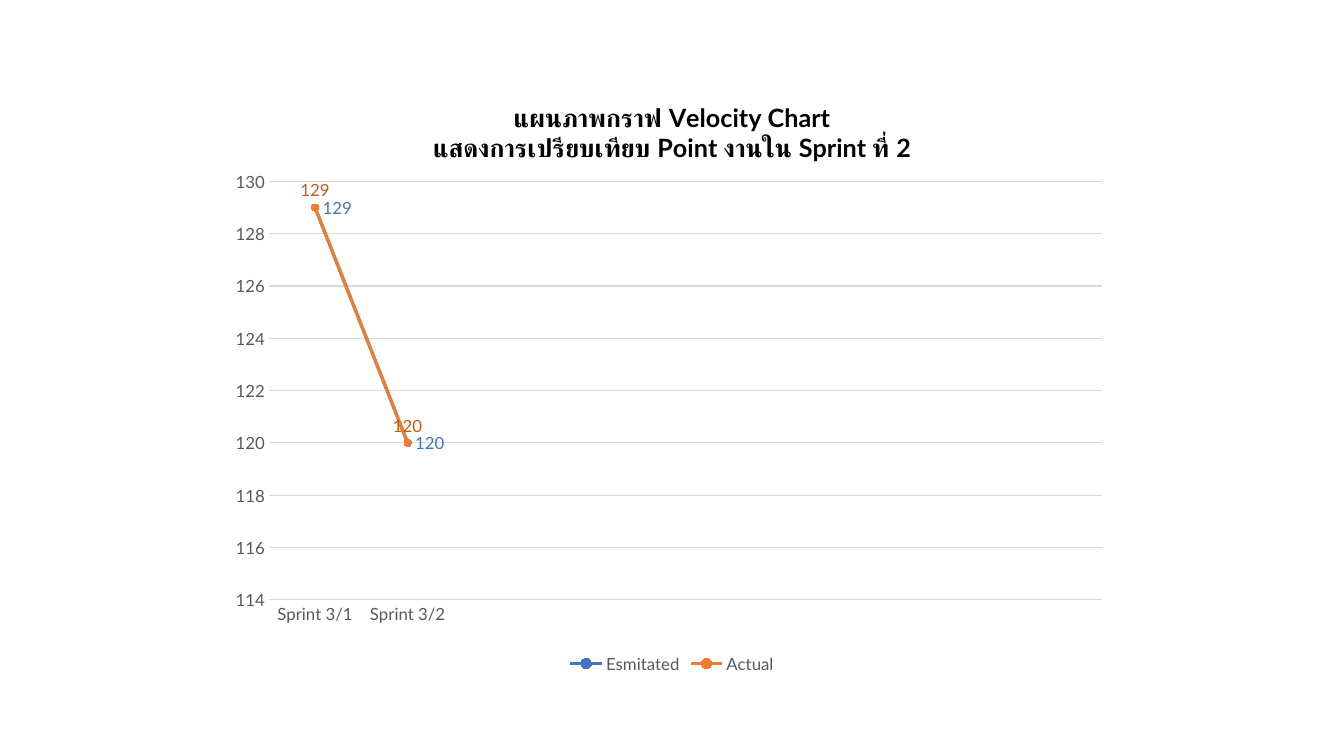
from lxml import etree
from pptx import Presentation
from pptx.chart.data import CategoryChartData
from pptx.dml.color import RGBColor
from pptx.enum import chart as ch
from pptx.oxml import ns
from pptx.util import Pt

HUES = {"ink": "000000", "gray": "595959", "grid": "D9D9D9",
        "blue": "4472C4", "orange": "ED7D31", "rust": "C55A11"}
SLOTS = 9
HEAD = ("แผนภาพกราฟ Velocity Chart",
        "แสดงการเปรียบเทียบ Point งานใน Sprint ที่ 2")
SPRINTS = ["Sprint 3/1", "Sprint 3/2"]
# Name, points, line colour, label colour, label place
SERIES = [
    ("Esmitated", [129, 120], "blue", "blue", ch.XL_LABEL_POSITION.RIGHT),
    ("Actual", [129, 120], "orange", "rust", ch.XL_LABEL_POSITION.ABOVE),
]


def pad(items, fill):
    return items + [fill] * (SLOTS - len(items))


class Deck:
    """Holds the style and the current slide."""

    def __init__(self, face):
        self.face = face
        self.prs = Presentation()
        self.prs.slide_width, self.prs.slide_height = Pt(960), Pt(540)
        self.slide = self.prs.slides.add_slide(self.prs.slide_layouts[6])

    def font(self, font, size, hue, bold=False):
        font.name, font.size, font.bold = self.face, Pt(size), bold
        font.color.rgb = RGBColor.from_string(HUES[hue])

    def line(self, line, hue, width):
        line.color.rgb = RGBColor.from_string(HUES[hue])
        line.width = Pt(width)

    def chart(self, x, y, w, h):
        data = CategoryChartData()
        data.categories = pad(SPRINTS, "")
        for name, vals, *_ in SERIES:
            data.add_series(name, pad(vals, None))
        frame = self.slide.shapes.add_chart(
            ch.XL_CHART_TYPE.LINE_MARKERS, Pt(x), Pt(y), Pt(w), Pt(h), data)
        chart = frame.chart
        self.font(chart.font, 10, "ink")
        chart.plots[0].vary_by_categories = False
        return chart

    def title(self, chart, rows, size):
        frame = chart.chart_title.text_frame
        for i, row in enumerate(rows):
            para = frame.add_paragraph() if i else frame.paragraphs[0]
            para.text = row
            self.font(para.font, size, "ink", True)
            self.font(para.runs[0].font, size, "ink", True)
        chart.chart_title.include_in_layout = False

    def axes(self, chart, low, high, step):
        cat, val = chart.category_axis, chart.value_axis
        for axis in (cat, val):
            axis.major_tick_mark = axis.minor_tick_mark = ch.XL_TICK_MARK.NONE
            self.font(axis.tick_labels.font, 12, "gray")
        self.line(cat.format.line, "grid", 0.75)
        val.format.line.fill.background()
        self.line(val.major_gridlines.format.line, "grid", 0.75)
        val.minimum_scale, val.maximum_scale = low, high
        val.major_unit = step

    def series(self, item, hue, tint, place):
        item.smooth = False
        self.line(item.format.line, hue, 2.25)
        mark = item.marker
        mark.style, mark.size = ch.XL_MARKER_STYLE.CIRCLE, 5
        mark.format.fill.solid()
        mark.format.fill.fore_color.rgb = RGBColor.from_string(HUES[hue])
        self.line(mark.format.line, hue, 0.75)
        tags = item.data_labels
        tags.show_value, tags.position = True, place
        self.font(tags.font, 12, tint)

    def legend(self, chart):
        chart.has_legend = True
        chart.legend.position = ch.XL_LEGEND_POSITION.BOTTOM
        chart.legend.include_in_layout = False
        self.font(chart.legend.font, 12, "gray")

    def plot(self, chart, **box):
        """Fix the inner plot area as shares of the chart."""
        area = chart.element.find(".//" + ns.qn("c:plotArea"))
        for old in area.findall(ns.qn("c:layout")):
            area.remove(old)
        lay = etree.Element(ns.qn("c:layout"))
        man = etree.SubElement(lay, ns.qn("c:manualLayout"))
        parts = {"layoutTarget": "inner", "xMode": "edge", "yMode": "edge"}
        for tag, val in {**parts, **box}.items():
            etree.SubElement(man, ns.qn("c:" + tag), val=str(val))
        area.insert(0, lay)


deck = Deck("Lato")

# Velocity chart
chart = deck.chart(160, 57, 640, 427)
deck.title(chart, HEAD, 18)
deck.axes(chart, 114, 130, 2)
deck.legend(chart)
deck.plot(chart, x=0.05, y=0.17, w=0.93, h=0.7)

# Estimated and actual points
for item, (_, _, hue, tint, place) in zip(chart.plots[0].series, SERIES):
    deck.series(item, hue, tint, place)

deck.prs.save("out.pptx")
